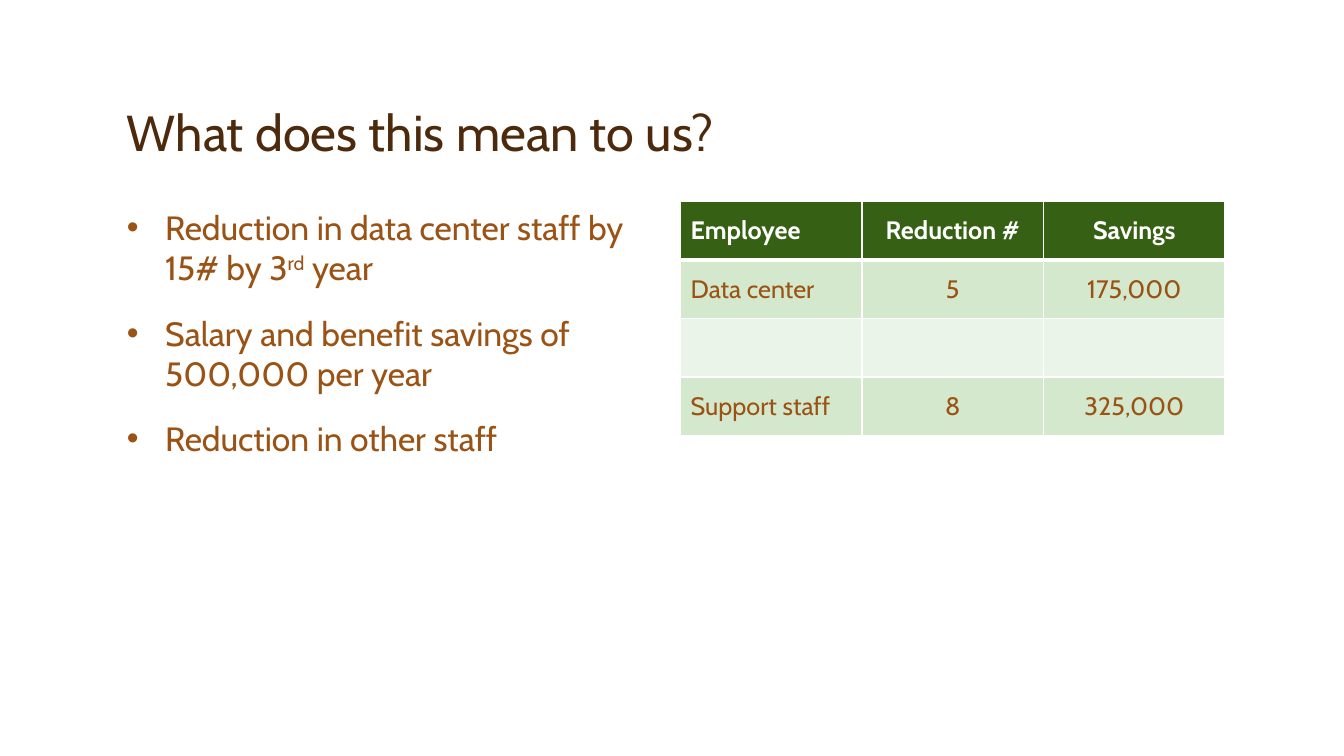
import pptx
import pptx.util
import pptx.dml.color
import pptx.enum.text
import lxml.etree
from pptx.oxml.ns import qn

WIDTH, HEIGHT = 13.33, 7.5
LEFT, TOP = 1.16, 2
COLUMN, ROW = 1.8, 0.58
BROWN, DARK_BROWN, WHITE = "9A5315", "4D2A0B", "FFFFFF"
HEADER_GREEN, BAND_GREEN, PALE_GREEN = "366013", "D4E8CD", "EBF4E8"
Inches, Pt = pptx.util.Inches, pptx.util.Pt


def style(run, size, color, bold=False):
    run.font.name = "Cabin"
    run.font.size = Pt(size)
    run.font.bold = bold
    run.font.color.rgb = pptx.dml.color.RGBColor.from_string(color)


def add_text(left, top, width, height, anchor):
    frame = slide.shapes.add_textbox(*map(Inches, (left, top, width, height))).text_frame
    frame.word_wrap = True
    frame.vertical_anchor = anchor
    return frame


deck = pptx.Presentation()
deck.slide_width, deck.slide_height = Inches(WIDTH), Inches(HEIGHT)
slide = deck.slides.add_slide(deck.slide_layouts[6])

title = add_text(LEFT, 0.33, 11, 1.33, pptx.enum.text.MSO_ANCHOR.BOTTOM)
title.text = "What does this mean to us?"
title.paragraphs[0].line_spacing = 0.9
style(title.paragraphs[0].runs[0], 36, DARK_BROWN)

points = [
    ["Reduction in data center staff by 15# by 3", "rd", " year"],
    ["Salary and benefit savings of 500,000 per year"],
    ["Reduction in other staff"],
]
body = add_text(LEFT, TOP, 5.42, 4.58, pptx.enum.text.MSO_ANCHOR.TOP)
for index, pieces in enumerate(points):
    point = body.add_paragraph() if index else body.paragraphs[0]
    point.space_before = Pt(18)
    properties = point._p.get_or_add_pPr()
    properties.set("marL", str(Inches(0.38)))
    properties.set("indent", str(-Inches(0.38)))
    lxml.etree.SubElement(properties, qn("a:buFont")).set("typeface", "Arial")
    lxml.etree.SubElement(properties, qn("a:buChar")).set("char", "•")
    for piece in pieces:
        run = point.add_run()
        run.text = piece
        style(run, 24, BROWN)
        if piece == "rd":
            run.font._element.set("baseline", "30000")

staff_rows = [
    ["Employee", "Reduction #", "Savings"],
    ["Data center", "5", "175,000"],
    ["", "", ""],
    ["Support staff", "8", "325,000"],
]
row_fills = [HEADER_GREEN, BAND_GREEN, PALE_GREEN, BAND_GREEN]
savings = slide.shapes.add_table(
    len(staff_rows), 3, Inches(6.75), Inches(TOP),
    Inches(3 * COLUMN), Inches(len(staff_rows) * ROW)).table
for column in savings.columns:
    column.width = Inches(COLUMN)
for r, (values, fill) in enumerate(zip(staff_rows, row_fills)):
    savings.rows[r].height = Inches(ROW)
    for c, value in enumerate(values):
        cell = savings.cell(r, c)
        cell.text = value
        cell.vertical_anchor = pptx.enum.text.MSO_ANCHOR.MIDDLE
        cell.fill.solid()
        cell.fill.fore_color.rgb = pptx.dml.color.RGBColor.from_string(fill)
        words = cell.text_frame.paragraphs[0]
        if c:
            words.alignment = pptx.enum.text.PP_ALIGN.CENTER
        for run in words.runs:
            style(run, 18, BROWN if r else WHITE, bold=r == 0)
        for position, side in enumerate(["lnL", "lnR", "lnT", "lnB"]):
            under_header = (r, side) in [(0, "lnB"), (1, "lnT")]
            border = lxml.etree.Element(qn("a:" + side), w=str(Pt(3 if under_header else 1)))
            paint = lxml.etree.SubElement(border, qn("a:solidFill"))
            lxml.etree.SubElement(paint, qn("a:srgbClr")).set("val", WHITE)
            cell._tc.get_or_add_tcPr().insert(position, border)

deck.save("out.pptx")
